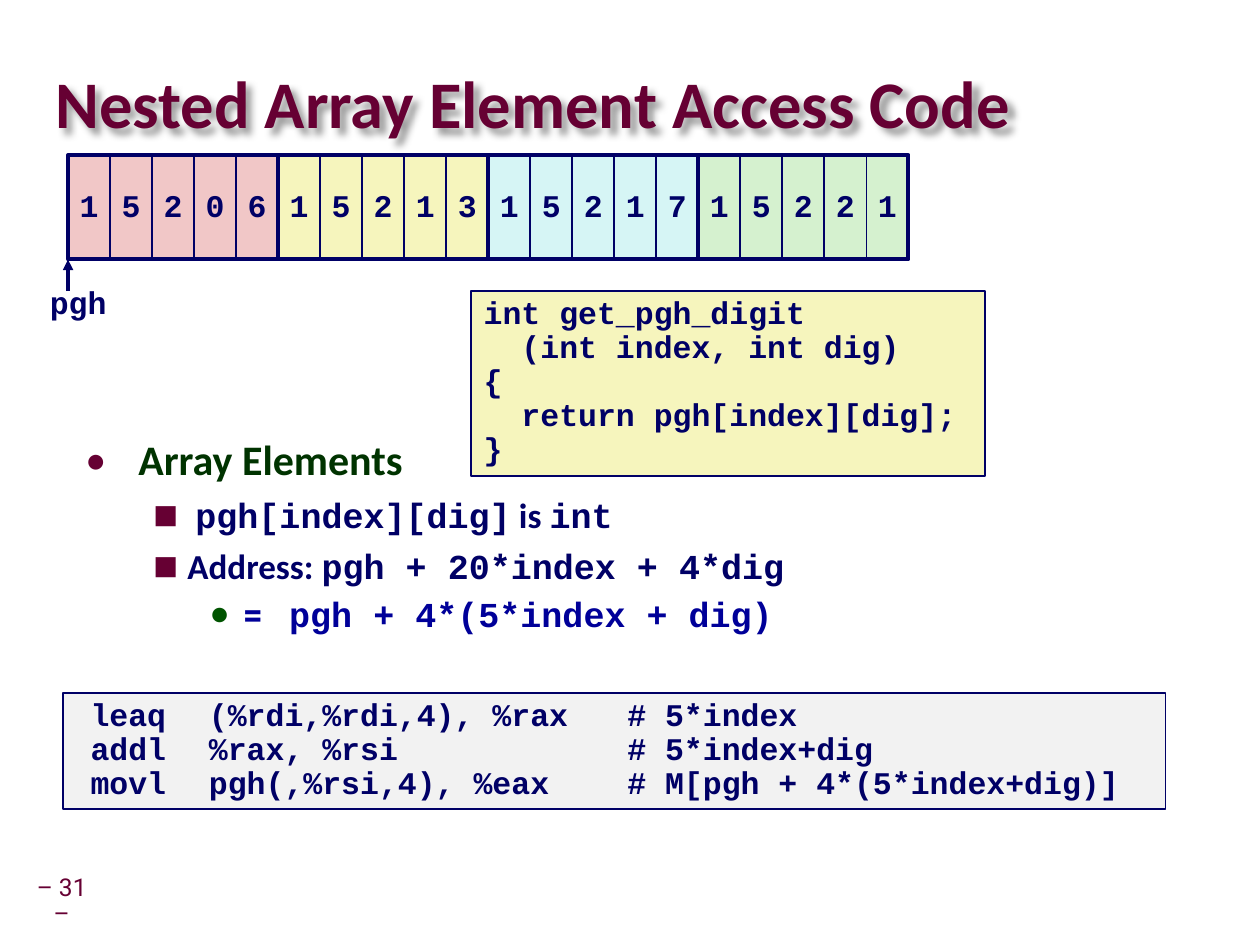
from lxml.etree import SubElement
from pptx import Presentation
from pptx.dml.color import RGBColor
from pptx.enum.shapes import MSO_CONNECTOR, MSO_SHAPE
from pptx.enum.text import MSO_ANCHOR, PP_ALIGN
from pptx.oxml import parse_xml
from pptx.oxml.ns import nsdecls, qn
from pptx.util import Inches, Pt

MAROON = RGBColor(0x66, 0x00, 0x33)
NAVY = RGBColor(0x00, 0x00, 0x66)
BLUE = RGBColor(0x00, 0x00, 0x99)
DARK_GREEN = RGBColor(0x00, 0x33, 0x00)
BULLET_GREEN = RGBColor(0x00, 0x54, 0x00)
PINK = RGBColor(0xF1, 0xC7, 0xC7)
YELLOW = RGBColor(0xF6, 0xF5, 0xBD)
CYAN = RGBColor(0xD6, 0xF5, 0xF5)
GREEN = RGBColor(0xD5, 0xF1, 0xCF)
GRAY = RGBColor(0xF2, 0xF2, 0xF2)
SANS, MONO, ROBOTO = "Calibri", "Courier New", "Roboto"

ROWS = [("15206", PINK), ("15213", YELLOW), ("15217", CYAN), ("15221", GREEN)]
C_CODE = """int get_pgh_digit
  (int index, int dig)
{
  return pgh[index][dig];
}"""
ASSEMBLY = """\tleaq\t(%rdi,%rdi,4), %rax\t# 5*index
\taddl\t%rax, %rsi\t# 5*index+dig
\tmovl\tpgh(,%rsi,4), %eax\t# M[pgh + 4*(5*index+dig)]"""

# Margin, hanging indent, line spacing, space before, bullet, its colour and size, runs
POINTS = [
    (0.42, 0.42, 0.95, 0, "•", MAROON, 100,
     [("Array Elements", SANS, 24, DARK_GREEN)]),
    (0.81, 0.27, 1.0, 5, "■", MAROON, 75,
     [(" ", SANS, 20, NAVY), ("pgh[index][dig]", MONO, 20, NAVY),
      (" is ", SANS, 20, NAVY), ("int", MONO, 20, NAVY)]),
    (0.81, 0.27, 1.0, 5, "■", MAROON, 75,
     [("Address: ", SANS, 20, NAVY), ("pgh + 20*index + 4*dig", MONO, 20, NAVY)]),
    (1.25, 0.26, 1.07, 2, "●", BULLET_GREEN, 90,
     [("= ", ROBOTO, 20, BLUE), ("pgh + 4*(5*index + dig)", MONO, 20, BLUE)]),
]


def style(run, face, size, color, bold=True):
    run.font.name, run.font.size, run.font.bold = face, Pt(size), bold
    run.font.color.rgb = color


def add_text(slide, left, top, width, height, text="", wrap=True):
    box = slide.shapes.add_textbox(Inches(left), Inches(top), Inches(width), Inches(height))
    box.text_frame.word_wrap = wrap
    box.text_frame.text = text
    return box


def add_rect(slide, left, top, width, height, fill=None, line=1):
    rect = slide.shapes.add_shape(MSO_SHAPE.RECTANGLE, Inches(left), Inches(top),
                                  Inches(width), Inches(height))
    rect.shadow.inherit = False
    if fill is None:
        rect.fill.background()
    else:
        rect.fill.solid()
        rect.fill.fore_color.rgb = fill
    rect.line.color.rgb = NAVY
    rect.line.width = Pt(line)
    return rect


def style_code(frame, align=PP_ALIGN.LEFT):
    for line in frame.paragraphs:
        line.alignment = align
        line.line_spacing = 0.9
        for run in line.runs:
            style(run, MONO, 18, NAVY)


def add_title(slide, left, top, width, height):
    title = add_text(slide, left, top, width, height, "Nested Array Element Access Code")
    frame = title.text_frame
    frame.margin_left = frame.margin_right = frame.margin_top = frame.margin_bottom = 0
    frame.vertical_anchor = MSO_ANCHOR.MIDDLE
    frame.paragraphs[0].line_spacing = 0.87
    style(frame.paragraphs[0].runs[0], SANS, 38, MAROON)
    # Soft shadow, which falls from the letters as the box has no fill
    title._element.spPr.append(parse_xml(
        f'<a:effectLst {nsdecls("a")}><a:outerShdw blurRad="50800" dist="50800" dir="2700000">'
        '<a:srgbClr val="000000"><a:alpha val="40000"/></a:srgbClr>'
        '</a:outerShdw></a:effectLst>'))


def add_array(slide, left, top, width, height):
    row_width = width / len(ROWS)
    # Cells of each row
    for row, (digits, color) in enumerate(ROWS):
        cell_width = row_width / len(digits)
        for column, digit in enumerate(digits):
            cell = add_rect(slide, left + row * row_width + column * cell_width, top,
                            cell_width, height, color)
            cell.text_frame.word_wrap = False
            cell.text_frame.vertical_anchor = MSO_ANCHOR.MIDDLE
            cell.text_frame.text = digit
            style_code(cell.text_frame, PP_ALIGN.CENTER)
    # Thick frame around each row
    for row in range(len(ROWS)):
        add_rect(slide, left + row * row_width, top, row_width, height, line=2.25)

    # Pointer to the start of the array
    bottom = top + height
    pointer = slide.shapes.add_connector(MSO_CONNECTOR.STRAIGHT, Inches(left),
                                         Inches(bottom + 0.25), Inches(left), Inches(bottom))
    pointer.line.color.rgb = NAVY
    pointer.line.width = Pt(2)
    SubElement(pointer.line._get_or_add_ln(), qn("a:tailEnd"), type="triangle")
    SubElement(pointer._element.spPr, qn("a:effectLst"))
    label = add_text(slide, left - 0.25, bottom + 0.17, 0.66, 0.4, "pgh", wrap=False)
    style_code(label.text_frame, PP_ALIGN.CENTER)


def add_code(slide, left, top, width, height, code, fill, tabs=()):
    frame = add_rect(slide, left, top, width, height, fill).text_frame
    frame.word_wrap = True
    frame.vertical_anchor = MSO_ANCHOR.TOP
    frame.text = code
    style_code(frame)
    if tabs:
        for line in frame.paragraphs:
            stops = SubElement(line._p.get_or_add_pPr(), qn("a:tabLst"))
            for tab in tabs:
                SubElement(stops, qn("a:tab"), pos=str(Inches(tab)), algn="l")


def add_points(slide, left, top, width, height):
    frame = add_text(slide, left, top, width, height).text_frame
    for index, point in enumerate(POINTS):
        margin, hanging, spacing, before, bullet, bullet_color, bullet_size, runs = point
        line = frame.add_paragraph() if index else frame.paragraphs[0]
        line.line_spacing = spacing
        line.space_before = Pt(before)
        props = line._p.get_or_add_pPr()
        props.set("marL", str(Inches(margin)))
        props.set("indent", str(-Inches(hanging)))
        SubElement(SubElement(props, qn("a:buClr")), qn("a:srgbClr"), val=str(bullet_color))
        SubElement(props, qn("a:buSzPct"), val=str(bullet_size * 1000))
        SubElement(props, qn("a:buFont"), typeface=SANS)
        SubElement(props, qn("a:buChar"), char=bullet)
        for text, face, size, color in runs:
            run = line.add_run()
            run.text = text
            style(run, face, size, color)
    # Wider gap after the equals sign
    equals = frame.paragraphs[-1].runs[0]
    equals._r.get_or_add_rPr().set("spc", "500")


def add_page_number(slide, left, top, width, height):
    frame = add_text(slide, left, top, width, height, "– 31 –").text_frame
    frame.margin_left = frame.margin_top = frame.margin_bottom = Inches(0.05)
    frame.margin_right = Inches(0.21)
    frame.vertical_anchor = MSO_ANCHOR.MIDDLE
    number = frame.paragraphs[0]
    number.alignment = PP_ALIGN.CENTER
    number.line_spacing = 0.9
    style(number.runs[0], ROBOTO, 14, MAROON, bold=False)


def main():
    deck = Presentation()
    deck.slide_width, deck.slide_height = Inches(10), Inches(7.5)
    slide = deck.slides.add_slide(deck.slide_layouts[6])
    add_page_number(slide, 0.24, 7, 0.66, 0.31)
    add_title(slide, 0.44, 0.54, 9.06, 0.63)
    add_points(slide, 0.58, 3.42, 9.1, 1.91)
    add_code(slide, 3.74, 2.31, 4.08, 1.47, C_CODE, YELLOW)
    add_code(slide, 0.5, 5.5, 8.75, 0.92, ASSEMBLY, GRAY, tabs=(0.12, 1.06, 4.38))
    add_array(slide, 0.54, 1.23, 6.67, 0.83)
    deck.save("out.pptx")


if __name__ == "__main__":
    main()
